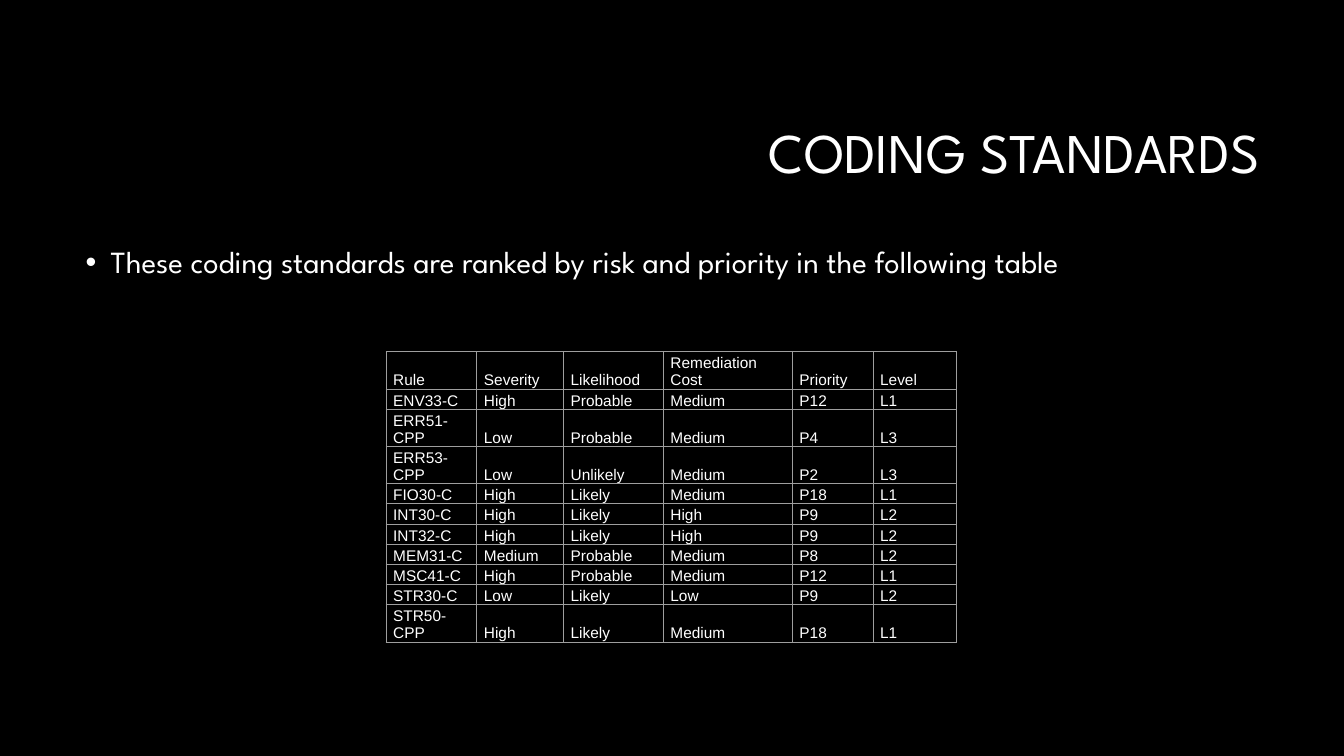
from lxml.etree import SubElement
from pptx import Presentation
from pptx.dml.color import RGBColor
from pptx.enum.text import MSO_ANCHOR, PP_ALIGN
from pptx.oxml.ns import qn
from pptx.util import Inches, Pt

COLORS = {"back": "000000", "text": "FFFFFF", "grid": "9E9E9E"}
HEAD_FONT = "League Spartan"
CELL_FONT = "Arial"

WIDTHS = [0.9, 0.86, 0.99, 1.28, 0.8, 0.83]
TALL, SHORT = 0.37, 0.2
RULES = [
    ["Rule", "Severity", "Likelihood", "Remediation Cost", "Priority", "Level"],
    ["ENV33-C", "High", "Probable", "Medium", "P12", "L1"],
    ["ERR51-CPP", "Low", "Probable", "Medium", "P4", "L3"],
    ["ERR53-CPP", "Low", "Unlikely", "Medium", "P2", "L3"],
    ["FIO30-C", "High", "Likely", "Medium", "P18", "L1"],
    ["INT30-C", "High", "Likely", "High", "P9", "L2"],
    ["INT32-C", "High", "Likely", "High", "P9", "L2"],
    ["MEM31-C", "Medium", "Probable", "Medium", "P8", "L2"],
    ["MSC41-C", "High", "Probable", "Medium", "P12", "L1"],
    ["STR30-C", "Low", "Likely", "Low", "P9", "L2"],
    ["STR50-CPP", "High", "Likely", "Medium", "P18", "L1"],
]


def color(name):
    return RGBColor.from_string(COLORS[name])


def style(para, font, size):
    for run in para.runs:
        run.font.name = font
        run.font.size = Pt(size)
        run.font.color.rgb = color("text")


def add_text(slide, box, text, size, anchor):
    """Add a wrapped text box and return its paragraph."""
    frame = slide.shapes.add_textbox(*map(Inches, box)).text_frame
    frame.word_wrap = True
    frame.vertical_anchor = anchor
    frame.text = text
    para = frame.paragraphs[0]
    para.line_spacing = 0.9
    style(para, HEAD_FONT, size)
    return para


def add_bullet(para):
    props = para._p.get_or_add_pPr()
    props.set("marL", str(Inches(0.25)))
    props.set("indent", str(Inches(-0.25)))
    tint = SubElement(props, qn("a:buClr"))
    SubElement(tint, qn("a:srgbClr"), val=COLORS["text"])
    SubElement(props, qn("a:buFont"), typeface=CELL_FONT)
    SubElement(props, qn("a:buChar"), char="•")


def add_borders(cell):
    props = cell._tc.get_or_add_tcPr()
    for side in ("lnL", "lnR", "lnT", "lnB"):
        line = SubElement(props, qn(f"a:{side}"), w=str(Pt(0.75)))
        fill = SubElement(line, qn("a:solidFill"))
        SubElement(fill, qn("a:srgbClr"), val=COLORS["grid"])


def fill_cell(cell, text):
    cell.margin_left = cell.margin_right = Inches(0.07)
    cell.margin_top = cell.margin_bottom = 0
    cell.vertical_anchor = MSO_ANCHOR.BOTTOM
    cell.text_frame.text = text
    style(cell.text_frame.paragraphs[0], CELL_FONT, 11)
    add_borders(cell)
    cell.fill.background()


def add_rules(slide):
    # Rows whose rule name or heading wraps take two lines.
    heights = [TALL if row[0] == "Rule" or row[0].endswith("CPP") else SHORT
               for row in RULES]
    box = 3.83, 3.49, sum(WIDTHS), sum(heights)
    table = slide.shapes.add_table(
        len(RULES), len(WIDTHS), *map(Inches, box)).table
    table.first_row = table.horz_banding = False
    for col, width in zip(table.columns, WIDTHS):
        col.width = Inches(width)
    for row, height, texts in zip(table.rows, heights, RULES):
        row.height = Inches(height)
        for cell, text in zip(row.cells, texts):
            fill_cell(cell, text)


def main():
    deck = Presentation()
    deck.slide_width, deck.slide_height = Inches(13.33), Inches(7.5)
    slide = deck.slides.add_slide(deck.slide_layouts[6])
    back = slide.background.fill
    back.solid()
    back.fore_color.rgb = color("back")

    title = add_text(slide, (3.17, 0.84, 9.42, 1.41), "CODING STANDARDS",
                     40, MSO_ANCHOR.MIDDLE)
    title.alignment = PP_ALIGN.RIGHT
    intro = add_text(
        slide, (0.75, 2.4, 11.83, 4.4),
        "These coding standards are ranked by risk and priority "
        "in the following table", 22, MSO_ANCHOR.TOP)
    add_bullet(intro)
    add_rules(slide)
    deck.save("out.pptx")


if __name__ == "__main__":
    main()
